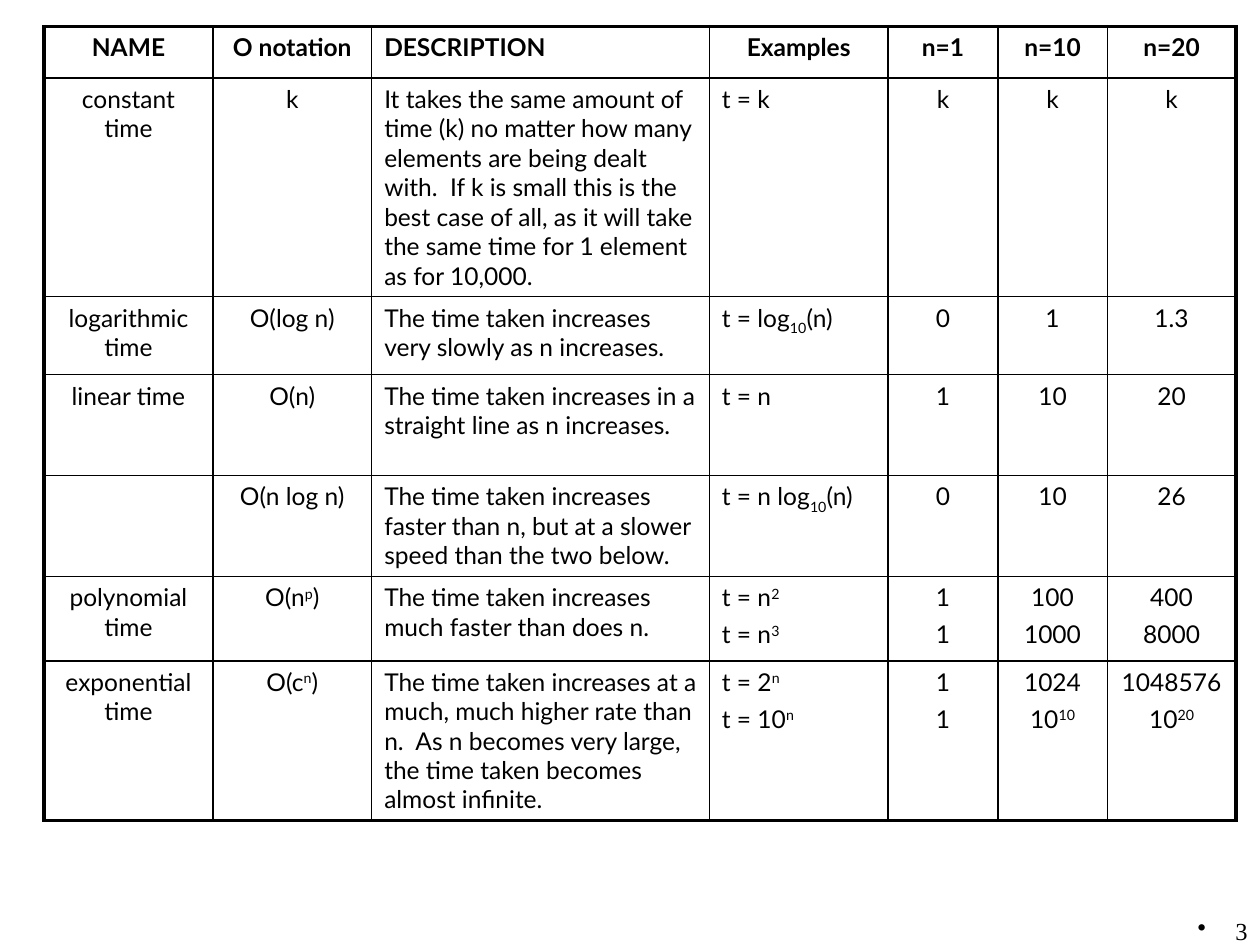
from lxml.etree import SubElement
from pptx import Presentation
from pptx.dml.color import RGBColor
from pptx.enum.text import PP_ALIGN
from pptx.oxml.ns import qn
from pptx.util import Inches, Pt

BLACK = RGBColor(0, 0, 0)
THIN, THICK = Pt(1), Pt(2.25)
WIDTHS = [1.34, 1.26, 2.68, 1.42, 0.87, 0.87, 1.02]
HEIGHTS = [0.41, 1.73, 0.62, 0.8, 0.8, 0.67, 1.27]
LEFT_COLS = (2, 3)

# ^x^ is superscript, _x_ is subscript, a line break starts a paragraph.
ROWS = [
    ["NAME", "O notation", "DESCRIPTION", "Examples", "n=1", "n=10", "n=20"],
    ["constant time", "k",
     "It takes the same amount of time (k) no matter how many elements are "
     "being dealt with.  If k is small this is the best case of all, as it "
     "will take the same time for 1 element as for 10,000.",
     "t = k", "k", "k", "k"],
    ["logarithmic time", "O(log n)",
     "The time taken increases very slowly as n increases.",
     "t = log_10_(n)", "0", "1", "1.3"],
    ["linear time", "O(n)",
     "The time taken increases in a straight line as n increases.",
     "t = n", "1", "10", "20"],
    ["", "O(n log n)",
     "The time taken increases faster than n, but at a slower speed than "
     "the two below.",
     "t = n log_10_(n)", "0", "10", "26"],
    ["polynomial time", "O(n^p^)",
     "The time taken increases much faster than does n.",
     "t = n^2^\nt = n^3^", "1\n1", "100\n1000", "400\n8000"],
    ["exponential time", "O(c^n^)",
     "The time taken increases at a much, much higher rate than n.  As n "
     "becomes very large, the time taken becomes almost infinite.",
     "t = 2^n^\nt = 10^n^", "1\n1", "1024\n10^10^", "1048576\n10^20^"],
]


def add_run(para, text, face, bold=False, shift=0):
    """Add a run; shift is its baseline offset in percent."""
    run = para.add_run()
    run.text = text
    font = run.font
    font.name, font.size, font.bold = face, Pt(14), bold
    font.color.rgb = BLACK
    if shift:
        font._element.set("baseline", str(shift * 1000))


def add_marked(para, text, bold):
    """Turn the ^ and _ marks of a text into shifted runs."""
    mark, shift = ("_", -25) if "_" in text else ("^", 30)
    for i, part in enumerate(text.split(mark)):
        if part:
            add_run(para, part, "Lato", bold, shift * (i % 2))


def set_space(para, **gaps):
    """Set spcBef and spcAft in percent of the line."""
    props = para._p.get_or_add_pPr()
    for tag, size in gaps.items():
        gap = SubElement(props, qn(f"a:{tag}"))
        SubElement(gap, qn("a:spcPct"), val=str(size * 1000))


def set_borders(cell, sides):
    props = cell._tc.get_or_add_tcPr()
    for side, width in sides.items():
        line = SubElement(props, qn(f"a:ln{side}"), w=str(width))
        fill = SubElement(line, qn("a:solidFill"))
        SubElement(fill, qn("a:srgbClr"), val=str(BLACK))


def get_align(row, col):
    if row == 0:
        return PP_ALIGN.JUSTIFY if col == 2 else PP_ALIGN.CENTER
    return PP_ALIGN.LEFT if col in LEFT_COLS else PP_ALIGN.CENTER


def fill_cell(cell, text, row, col):
    set_borders(cell, {
        "L": THICK if col == 0 else THIN,
        "R": THICK if col == len(WIDTHS) - 1 else THIN,
        "T": THICK if row == 0 else THIN,
        "B": THICK if row == len(HEIGHTS) - 1 else THIN,
    })
    cell.fill.background()
    frame = cell.text_frame
    for i, line in enumerate(text.split("\n")):
        para = frame.add_paragraph() if i else frame.paragraphs[0]
        para.alignment = get_align(row, col)
        set_space(para, spcBef=20, spcAft=10)
        add_marked(para, line, row == 0)


def add_grid(slide):
    grid = slide.shapes.add_table(
        len(HEIGHTS), len(WIDTHS), Inches(0.35), Inches(0.21),
        Inches(sum(WIDTHS)), Inches(sum(HEIGHTS))).table
    grid.first_row = grid.horz_banding = False
    for col, width in zip(grid.columns, WIDTHS):
        col.width = Inches(width)
    for row, height in zip(grid.rows, HEIGHTS):
        row.height = Inches(height)
    for r, texts in enumerate(ROWS):
        for c, text in enumerate(texts):
            fill_cell(grid.cell(r, c), text, r, c)


def add_number(slide):
    box = slide.shapes.add_textbox(
        Inches(9.36), Inches(7.22), Inches(0.64), Inches(0.28))
    box.text_frame.word_wrap = True
    para = box.text_frame.paragraphs[0]
    para.alignment = PP_ALIGN.RIGHT
    set_space(para, spcBef=20)
    props = para._p.get_or_add_pPr()
    props.set("marL", str(Inches(0.25)))
    props.set("indent", str(-Inches(0.25)))
    SubElement(props, qn("a:buChar"), char="•")
    add_run(para, " 3", "Times New Roman")


def main():
    deck = Presentation()
    deck.slide_width, deck.slide_height = Inches(10), Inches(7.5)
    slide = deck.slides.add_slide(deck.slide_layouts[6])
    add_grid(slide)
    add_number(slide)
    deck.save("out.pptx")


if __name__ == "__main__":
    main()
